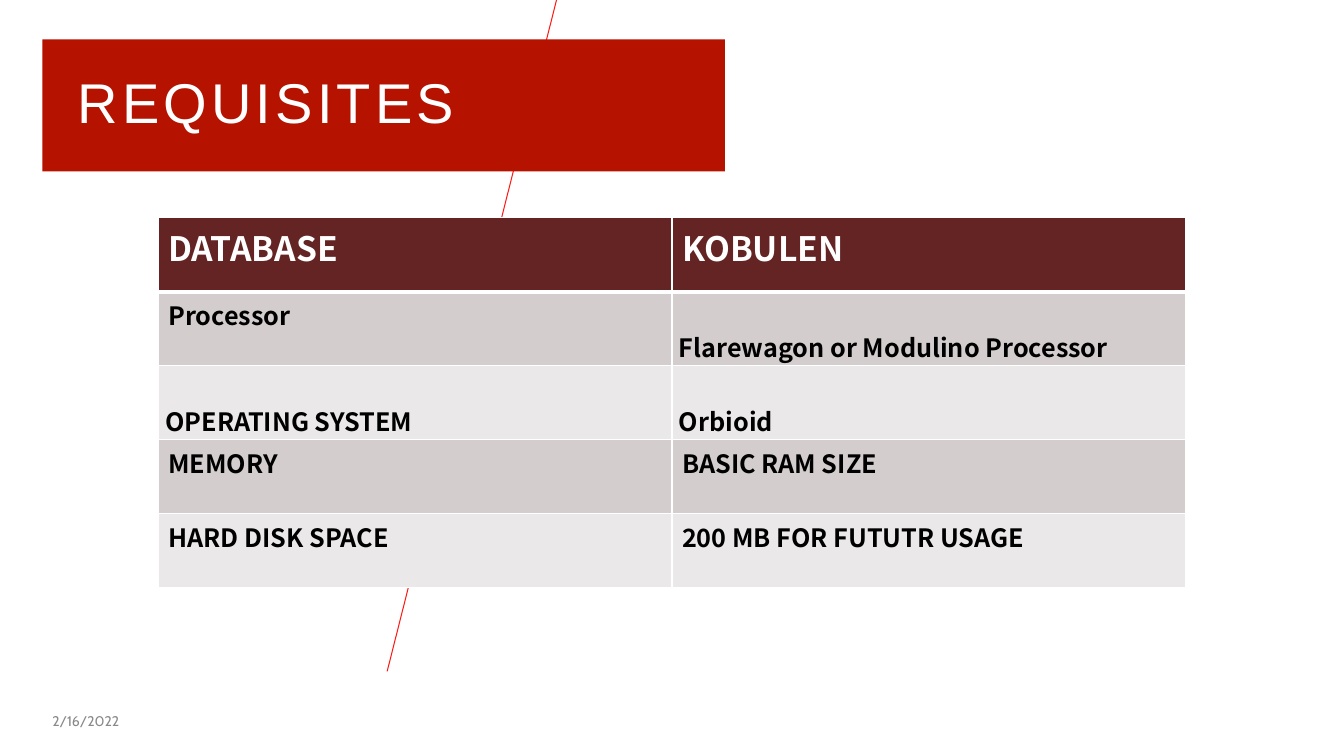
from dataclasses import dataclass

from pptx import Presentation
from pptx.dml.color import RGBColor
from pptx.enum.shapes import MSO_CONNECTOR as Connector, MSO_SHAPE as Preset
from pptx.enum.text import MSO_ANCHOR as Anchor, PP_ALIGN as Align
from pptx.oxml import parse_xml
from pptx.oxml.ns import nsdecls
from pptx.util import Emu, Inches, Pt

presentation = Presentation()
presentation.slide_width = Inches(13.33)
presentation.slide_height = Inches(7.5)
slide = presentation.slides.add_slide(presentation.slide_layouts[6])

WHITE = "FFFFFF"
HEADER_FILL = "632423"
BAND_FILLS = ("D3CDCD", "EAE8E8")


@dataclass
class Box:
    """A frame in percent of the slide's width and height."""
    left: float
    top: float
    width: float
    height: float

    def frame(self) -> tuple[Emu, Emu, Emu, Emu]:
        return across(self.left), down(self.top), across(self.width), down(self.height)


@dataclass
class Entry:
    """A table cell; a compact one has thin margins and double spacing."""
    text: str
    compact: bool = False


def across(percent: float) -> Emu:
    return Emu(round(presentation.slide_width * percent / 100))


def down(percent: float) -> Emu:
    return Emu(round(presentation.slide_height * percent / 100))


def color(value: str) -> RGBColor:
    return RGBColor.from_string(value)


def write(text_frame, text: str, size: float, font_name: str, value: str, bold: bool = False):
    """Set one line of text, format it and return its paragraph."""
    text_frame.text = text
    paragraph = text_frame.paragraphs[0]
    font = paragraph.runs[0].font
    font.size, font.name, font.bold = Pt(size), font_name, bold
    font.color.rgb = color(value)
    return paragraph


def set_borders(cell, top: float, bottom: float) -> None:
    properties = cell._tc.get_or_add_tcPr()
    widths = {"L": 1, "R": 1, "T": top, "B": bottom}
    for position, (side, width) in enumerate(widths.items()):
        properties.insert(position, parse_xml(
            f'<a:ln{side} {nsdecls("a")} w="{Pt(width)}"><a:solidFill>'
            f'<a:srgbClr val="{WHITE}"/></a:solidFill></a:ln{side}>'))


def draw_cell(cell, entry: Entry, row: int) -> None:
    header = row == 0
    paragraph = write(cell.text_frame, entry.text, 24 if header else 18,
                      "Noto Sans CJK JP", WHITE if header else "000000", True)
    if entry.compact:
        paragraph.alignment = Align.JUSTIFY
        paragraph.line_spacing = 2.0
        cell.margin_left = cell.margin_right = Inches(0.07)
        cell.margin_top = cell.margin_bottom = 0
    cell.fill.solid()
    cell.fill.fore_color.rgb = color(HEADER_FILL if header else BAND_FILLS[(row - 1) % 2])
    set_borders(cell, top=3 if row == 1 else 1, bottom=3 if header else 1)


def draw_table(box: Box, rows: list[tuple[Entry, ...]]) -> None:
    table = slide.shapes.add_table(len(rows), len(rows[0]), *box.frame()).table
    for column in table.columns:
        column.width = across(box.width / len(rows[0]))
    for row, entries in enumerate(rows):
        table.rows[row].height = down(box.height / len(rows))
        for column, entry in enumerate(entries):
            draw_cell(table.cell(row, column), entry, row)


# Slanted line behind everything
slant = slide.shapes.add_connector(
    Connector.STRAIGHT, across(41.41), down(0), across(28.81), down(88.8))
slant.line.color.rgb = color("FD1B17")
slant.line.width = Pt(0.75)
slant._element.spPr.append(parse_xml(f'<a:effectLst {nsdecls("a")}/>'))

# Title banner
banner = slide.shapes.add_shape(Preset.RECTANGLE, *Box(3.15, 5.2, 50.79, 17.47).frame())
banner.shadow.inherit = False
banner.fill.solid()
banner.fill.fore_color.rgb = color("B51200")
banner.line.fill.background()
banner.text_frame.margin_left = across(2.63)
banner.text_frame.vertical_anchor = Anchor.MIDDLE
title = write(banner.text_frame, "REQUISITES", 40, "Arial", WHITE)
title.alignment = Align.LEFT
title.line_spacing = 0.9
title.runs[0]._r.get_or_add_rPr().set("spc", "300")

# Date
date = slide.shapes.add_textbox(*Box(3.15, 92.67, 14.18, 5.33).frame())
date.text_frame.word_wrap = True
date.text_frame.vertical_anchor = Anchor.MIDDLE
write(date.text_frame, "2/16/2022", 10, "Cabin", "898989")

# Requisites table
draw_table(Box(11.78, 28.8, 76.44, 48.93), [
    (Entry("DATABASE"), Entry("KOBULEN")),
    (Entry("Processor"), Entry("Flarewagon or Modulino Processor", compact=True)),
    (Entry("OPERATING SYSTEM", compact=True), Entry("Orbioid", compact=True)),
    (Entry("MEMORY"), Entry("BASIC RAM SIZE")),
    (Entry("HARD DISK SPACE"), Entry("200 MB FOR FUTUTR USAGE")),
])

presentation.save("out.pptx")
